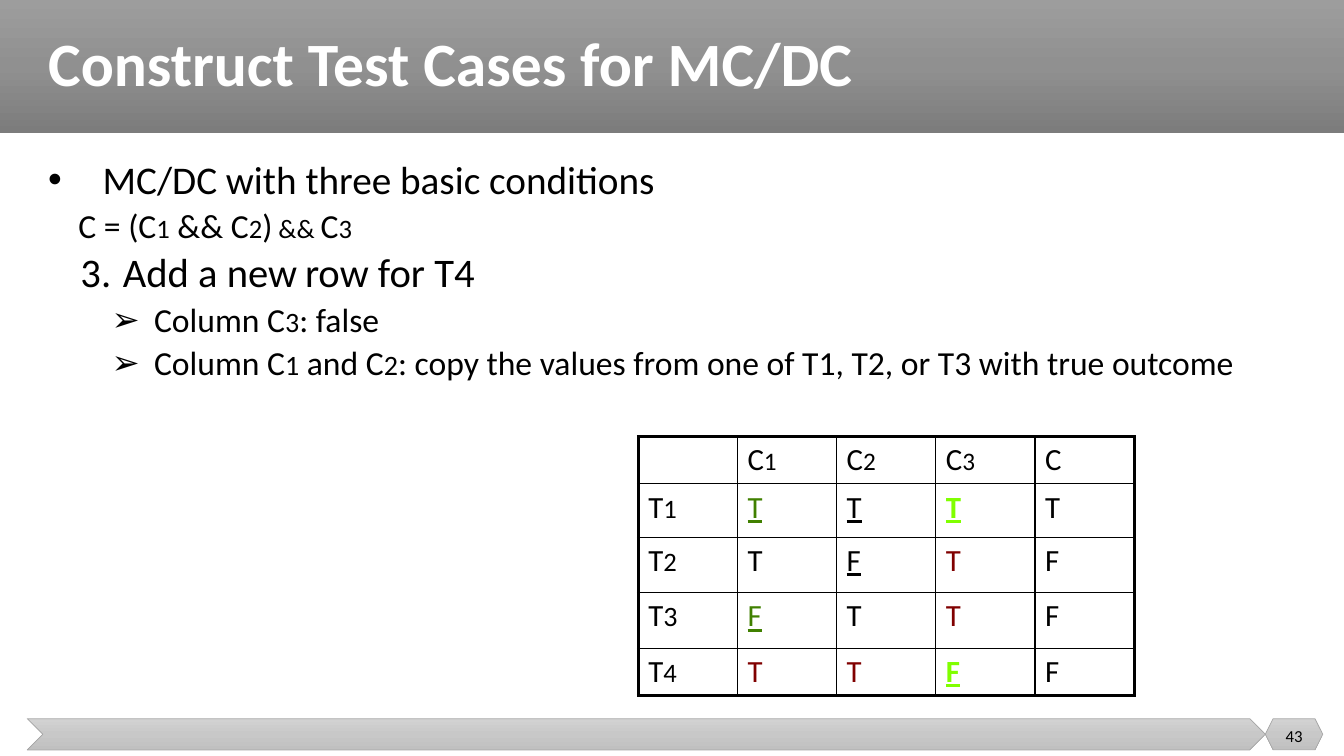
from copy import deepcopy
from dataclasses import dataclass

from lxml.etree import SubElement
from pptx import Presentation
from pptx.dml.color import RGBColor
from pptx.enum.shapes import MSO_SHAPE
from pptx.enum.text import MSO_ANCHOR, PP_ALIGN
from pptx.oxml.ns import qn
from pptx.slide import Slide
from pptx.table import _Cell
from pptx.text.text import TextFrame, _Paragraph
from pptx.util import Inches, Pt


@dataclass(frozen=True)
class Theme:
    face: str = "Calibri"
    black: str = "000000"
    white: str = "FFFFFF"
    green: str = "408000"
    lime: str = "80FF00"
    red: str = "800000"
    edge: str = "A5A5A5"
    band: tuple[str, ...] = ("9D9D9D", "909090", "7C7C7C")
    foot: tuple[str, ...] = ("D2D2D2", "C8C8C8", "C0C0C0")
    title: int = 44
    lead: int = 28
    step: int = 29
    body: int = 24
    sub: int = 20
    low: int = 19
    cell: int = 22
    head: int = 18
    page: int = 12
    thin: float = 1
    thick: float = 2.25


THEME = Theme()


@dataclass(frozen=True)
class Box:
    left: float
    top: float
    width: float
    height: float

    def emu(self) -> list[int]:
        return [Inches(v) for v in (self.left, self.top, self.width, self.height)]


@dataclass(frozen=True)
class Run:
    text: str
    size: int


@dataclass(frozen=True)
class Line:
    runs: tuple[Run, ...]
    left: float
    hang: float
    gap: int = 5
    level: int = 0
    bullet: str = ""
    start: int = 0


@dataclass(frozen=True)
class Mark:
    text: str
    color: str = THEME.black
    under: bool = False
    bold: bool = False
    index: str = ""
    small: int = THEME.low


def style(para: _Paragraph, color: str = THEME.black, bold: bool = False) -> None:
    para.font.name = THEME.face
    para.font.bold = bold
    para.font.color.rgb = RGBColor.from_string(color)


def write(para: _Paragraph, runs: tuple[Run, ...]) -> None:
    """Put the size on the paragraph when all runs share it."""
    same = len({r.size for r in runs}) == 1
    if same:
        para.font.size = Pt(runs[0].size)
    for part in runs:
        run = para.add_run()
        run.text = part.text
        if not same:
            run.font.size = Pt(part.size)


def panel(slide: Slide, kind: MSO_SHAPE, box: Box, tones: tuple[str, ...], edge: str = "") -> None:
    """Draw a shape shaded from top to bottom in three tones."""
    shape = slide.shapes.add_shape(kind, *box.emu())
    shape.shadow.inherit = False
    shape.fill.gradient()
    shape.fill.gradient_angle = 270
    stops = shape._element.spPr.find(".//" + qn("a:gsLst"))
    stops.insert(1, deepcopy(stops[0]))
    for i, (stop, tone) in enumerate(zip(shape.fill.gradient_stops, tones)):
        stop.position = i / 2
        stop.color.rgb = RGBColor.from_string(tone)
    if edge:
        shape.line.color.rgb = RGBColor.from_string(edge)
        shape.line.width = Pt(0.5)
    else:
        shape.line.fill.background()


def frame(slide: Slide, box: Box, anchor: MSO_ANCHOR = MSO_ANCHOR.TOP) -> TextFrame:
    text = slide.shapes.add_textbox(*box.emu()).text_frame
    text.word_wrap = True
    text.vertical_anchor = anchor
    return text


def outline(slide: Slide, box: Box, lines: list[Line]) -> None:
    text = frame(slide, box)
    for i, line in enumerate(lines):
        para = text.add_paragraph() if i else text.paragraphs[0]
        para.level = line.level
        para.line_spacing = 0.9
        if i:
            para.space_before = Pt(line.gap)
        props = para._p.get_or_add_pPr()
        props.set("marL", str(Inches(line.left)))
        props.set("indent", str(Inches(line.hang)))
        if line.bullet:
            SubElement(props, qn("a:buFont"), typeface="Arial")
            SubElement(props, qn("a:buChar"), char=line.bullet)
        elif line.start:
            SubElement(props, qn("a:buAutoNum"), type="arabicPeriod", startAt=str(line.start))
        style(para)
        write(para, line.runs)


def border(cell: _Cell, sides: dict[str, float]) -> None:
    props = cell._tc.get_or_add_tcPr()
    for side, width in sides.items():
        line = SubElement(props, qn("a:ln" + side), w=str(Pt(width)))
        SubElement(SubElement(line, qn("a:solidFill")), qn("a:srgbClr"), val=THEME.black)


def grid(slide: Slide, box: Box, highs: list[float], rows: list[list[Mark]]) -> None:
    count = len(rows[0])
    table = slide.shapes.add_table(len(rows), count, *box.emu()).table
    table.first_row = table.horz_banding = False
    for col in table.columns:
        col.width = Inches(box.width / count)
    for r, (high, row) in enumerate(zip(highs, rows)):
        table.rows[r].height = Inches(high)
        for c, mark in enumerate(row):
            cell = table.cell(r, c)
            outer = {"L": c == 0, "R": c == count - 1, "T": r == 0, "B": r == len(rows) - 1}
            border(cell, {k: THEME.thick if v else THEME.thin for k, v in outer.items()})
            cell.fill.background()
            if not mark.text:
                continue
            para = cell.text_frame.paragraphs[0]
            style(para, mark.color, mark.bold)
            para.font.underline = mark.under
            runs = (Run(mark.text, THEME.cell),)
            if mark.index:
                runs += (Run(mark.index, mark.small),)
            write(para, runs)


def main() -> None:
    t = THEME
    deck = Presentation()
    deck.slide_width, deck.slide_height = Inches(13.33), Inches(7.5)
    slide = deck.slides.add_slide(deck.slide_layouts[6])

    panel(slide, MSO_SHAPE.RECTANGLE, Box(0, 0, 13.33, 1.32), t.band)
    panel(slide, MSO_SHAPE.CHEVRON, Box(0.27, 7.13, 12.28, 0.31), t.foot, t.edge)
    panel(slide, MSO_SHAPE.HEXAGON, Box(12.55, 7.13, 0.57, 0.31), t.foot, t.edge)

    title = frame(slide, Box(0.38, 0, 12.74, 1.32), MSO_ANCHOR.MIDDLE).paragraphs[0]
    title.line_spacing = 0.9
    style(title, t.white, True)
    write(title, (Run("Construct Test Cases for MC/DC", t.title),))

    rule = (Run("C = (C", t.body), Run("1", t.low), Run(" && C", t.body), Run("2", t.low),
            Run(")", t.body), Run(" && ", t.low), Run("C", t.body), Run("3", t.low))
    step = (Run("Add a new", t.step), Run(" ", t.body), Run("row for T4", t.step))
    third = (Run("Column C", t.body), Run("3", t.sub), Run(": false", t.body))
    rest = (Run("Column C", t.body), Run("1", t.sub), Run(" and C", t.body), Run("2", t.sub),
            Run(": copy the values from one of T1, T2, or T3 with true outcome", t.body))
    outline(slide, Box(0.38, 1.54, 12.74, 5.19), [
        Line((Run("MC/DC with three basic conditions", t.lead),), 0.54, -0.54, bullet="•"),
        Line(rule, 0.3, 0, level=1),
        Line(step, 0.74, -0.42, level=1, start=3),
        *(Line(runs, 1.05, -0.42, level=2, bullet="➢") for runs in (third, rest)),
    ])

    page = frame(slide, Box(12.55, 7.1, 0.57, 0.4), MSO_ANCHOR.MIDDLE).paragraphs[0]
    page.alignment = PP_ALIGN.CENTER
    style(page)
    write(page, (Run("43", t.page),))

    yes, no = Mark("T"), Mark("F")
    kept = Mark("T", t.red)
    heads = [Mark("C", index=n, small=t.head) for n in "123"]
    grid(slide, Box(6.33, 4.33, 4.92, 2.57), [0.47, 0.53, 0.55, 0.55, 0.47], [
        [Mark(""), *heads, Mark("C")],
        [Mark("T", index="1"), Mark("T", t.green, True), Mark("T", under=True),
         Mark("T", t.lime, True, True), yes],
        [Mark("T", index="2"), yes, Mark("F", under=True), kept, no],
        [Mark("T", index="3", small=t.sub), Mark("F", t.green, True), yes, kept, no],
        [Mark("T", index="4"), kept, kept, Mark("F", t.lime, True, True), no],
    ])
    deck.save("out.pptx")


if __name__ == "__main__":
    main()
